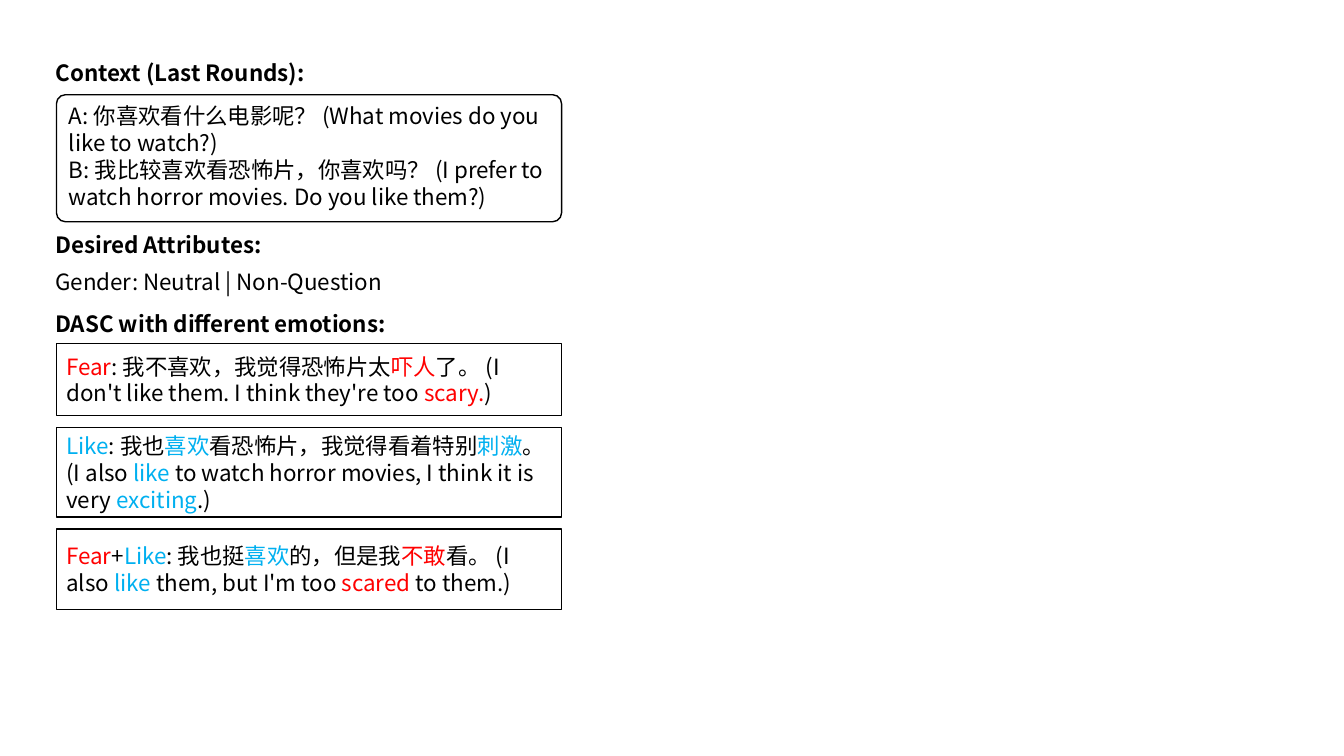
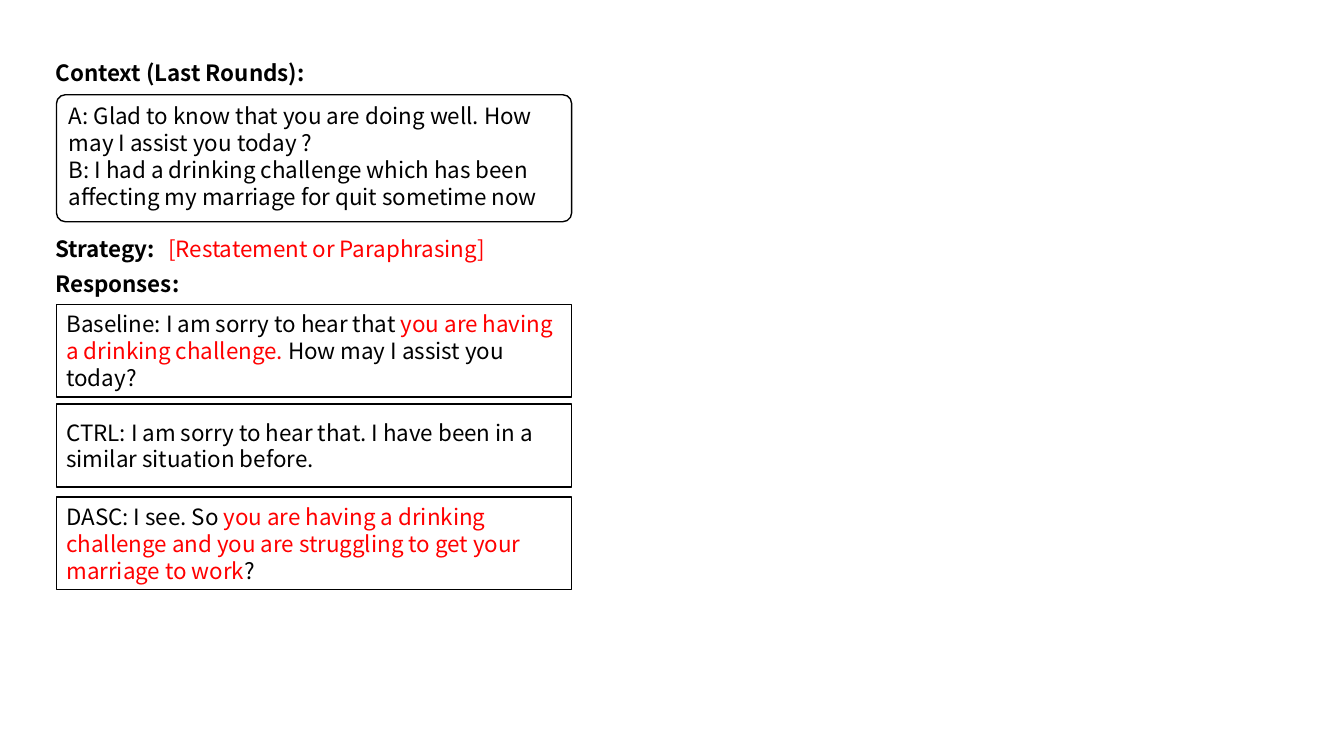
"""Build two slides that compare dialogue responses under controlled attributes."""
import pptx
import pptx.dml.color
import pptx.enum.shapes
import pptx.enum.text
import pptx.oxml.ns
import pptx.util
from lxml import etree

Inches = pptx.util.Inches
Shapes = pptx.enum.shapes.MSO_SHAPE
Anchor = pptx.enum.text.MSO_ANCHOR
COLORS = {"text": "000000", "paper": "FFFFFF", "fear": "FF0000", "like": "00B0F0"}


def color(name):
    """Return the named palette colour."""
    return pptx.dml.color.RGBColor.from_string(COLORS[name])


class Sheet:
    """Hold the shared style and the current slide."""

    font = "Noto Sans CJK SC"
    size = pptx.util.Pt(16)
    label_left = 0.45
    box_left = 0.56
    label_height = 0.37

    def __init__(self, deck, box_width):
        """Add a title-only slide whose boxes share one width."""
        self.page = deck.slides.add_slide(deck.slide_layouts[5])
        self.box_width = box_width

    def fill_text(self, shape, paragraphs, bold=False, ink="text", anchor=Anchor.TOP):
        """Fill a shape with paragraphs made of strings or (text, colour) spans."""
        frame = shape.text_frame
        frame.word_wrap = True
        frame.vertical_anchor = anchor
        for index, spans in enumerate(paragraphs):
            para = frame.add_paragraph() if index else frame.paragraphs[0]
            para.alignment = pptx.enum.text.PP_ALIGN.LEFT
            para.font.name = self.font
            para.font.size = self.size
            para.font.bold = bold
            para.font.color.rgb = color(ink)
            defaults = para.font._element
            east_asian = etree.SubElement(defaults, pptx.oxml.ns.qn("a:ea"))
            east_asian.set("typeface", self.font)
            for part in spans:
                text, tint = (part, None) if isinstance(part, str) else part
                span = para.add_run()
                span.text = text
                if tint:
                    span.font.color.rgb = color(tint)

    def title(self, text):
        """Place the slide title as the first heading."""
        shape = self.page.shapes.title
        shape.left, shape.top = Inches(self.label_left), Inches(0.54)
        shape.width, shape.height = Inches(3.25), Inches(self.label_height)
        self.fill_text(shape, [[text]], bold=True)
        shape.text_frame.auto_size = pptx.enum.text.MSO_AUTO_SIZE.NONE

    def label(self, text, top, left=label_left, width=3.25, bold=True, ink="text"):
        """Add a one-line label."""
        shape = self.page.shapes.add_textbox(
            Inches(left), Inches(top), Inches(width), Inches(self.label_height))
        self.fill_text(shape, [[text]], bold, ink)

    def box(self, kind, top, height, paragraphs, anchor):
        """Add an outlined white box with text."""
        shape = self.page.shapes.add_shape(
            kind, Inches(self.box_left), Inches(top), Inches(self.box_width), Inches(height))
        shape.shadow.inherit = False
        shape.fill.solid()
        shape.fill.fore_color.rgb = color("paper")
        shape.line.color.rgb = color("text")
        shape.line.width = pptx.util.Pt(1)
        self.fill_text(shape, paragraphs, anchor=anchor)
        return shape

    def context(self, *turns):
        """Add the heading and the rounded box with the last dialogue turns."""
        self.title("Context (Last Rounds):")
        shape = self.box(
            Shapes.ROUNDED_RECTANGLE, 0.94, 1.26, [[turn] for turn in turns], Anchor.TOP)
        shape.adjustments[0] = 0.07

    def response(self, top, height, *spans):
        """Add a response box with highlighted words."""
        self.box(Shapes.RECTANGLE, top, height, [spans], Anchor.MIDDLE)


def emotions(deck):
    """Build the slide on responses with different emotions."""
    sheet = Sheet(deck, 5.01)
    sheet.context(
        "A: 你喜欢看什么电影呢？ (What movies do you like to watch?)",
        "B: 我比较喜欢看恐怖片，你喜欢吗？ (I prefer to watch horror movies. Do you like them?)")
    sheet.label("Desired Attributes:", 2.24)
    sheet.label("Gender: Neutral | Non-Question", 2.61, width=5.11, bold=False)
    sheet.label("DASC with different emotions:", 3.03, width=5.01)
    sheet.response(
        3.41, 0.71, ("Fear", "fear"), ": 我不喜欢，我觉得恐怖片太", ("吓人", "fear"),
        "了。 (I don't like them. I think they're too ", ("scary.", "fear"), ")")
    sheet.response(
        4.24, 0.89, ("Like", "like"), ": 我也", ("喜欢", "like"), "看恐怖片，我觉得看着特别",
        ("刺激", "like"), "。 (I also ", ("like", "like"),
        " to watch horror movies, I think it is very ", ("exciting", "like"), ".)")
    sheet.response(
        5.25, 0.8, ("Fear", "fear"), "+", ("Like", "like"), ": 我也挺", ("喜欢", "like"),
        "的，但是我", ("不敢", "fear"), "看。 (I also ", ("like", "like"),
        " them, but I'm too ", ("scared", "fear"), " to them.)")


def strategies(deck):
    """Build the slide on responses that follow a counselling strategy."""
    sheet = Sheet(deck, 5.11)
    sheet.context(
        "A: Glad to know that you are doing well. How may I assist you today ?",
        "B: I had a drinking challenge which has been affecting my marriage for quit sometime now")
    sheet.label("Strategy:", 2.28)
    sheet.label("[Restatement or Paraphrasing]", 2.28, 1.57, 3.75, bold=False, ink="fear")
    sheet.label("Responses:", 2.63)
    sheet.response(
        3.02, 0.92, "Baseline: I am sorry to hear that ",
        ("you are having a drinking challenge.", "fear"), " How may I assist you today?")
    sheet.response(
        4.01, 0.82, "CTRL: I am sorry to hear that. I have been in a similar situation before.")
    sheet.response(
        4.93, 0.92, "DASC: I see. So ",
        ("you are having a drinking challenge and you are struggling to get your marriage to work",
         "fear"), "?")


def main():
    """Build and save the deck."""
    deck = pptx.Presentation()
    deck.slide_width, deck.slide_height = Inches(13.33), Inches(7.5)
    emotions(deck)
    strategies(deck)
    deck.save("out.pptx")


if __name__ == "__main__":
    main()
